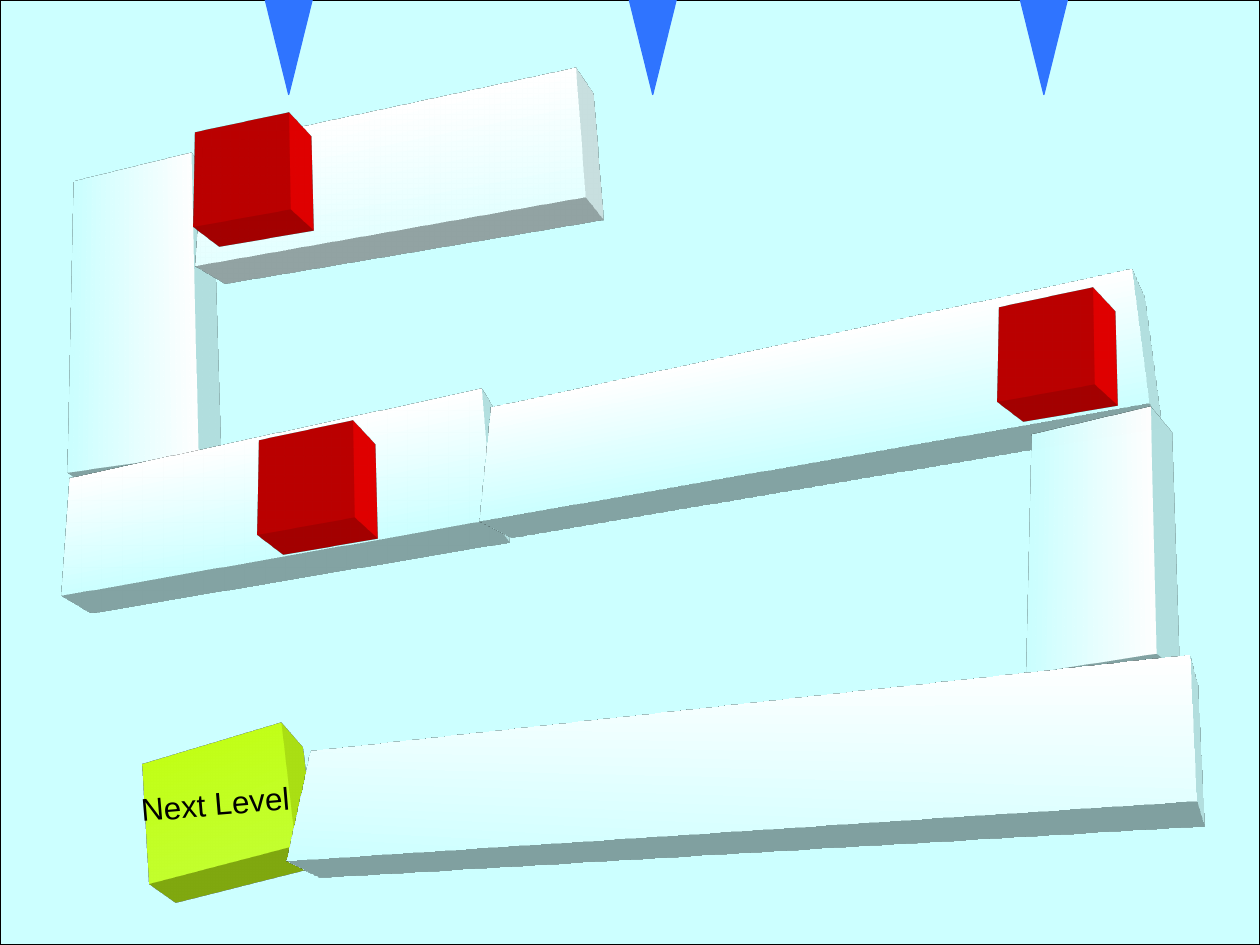
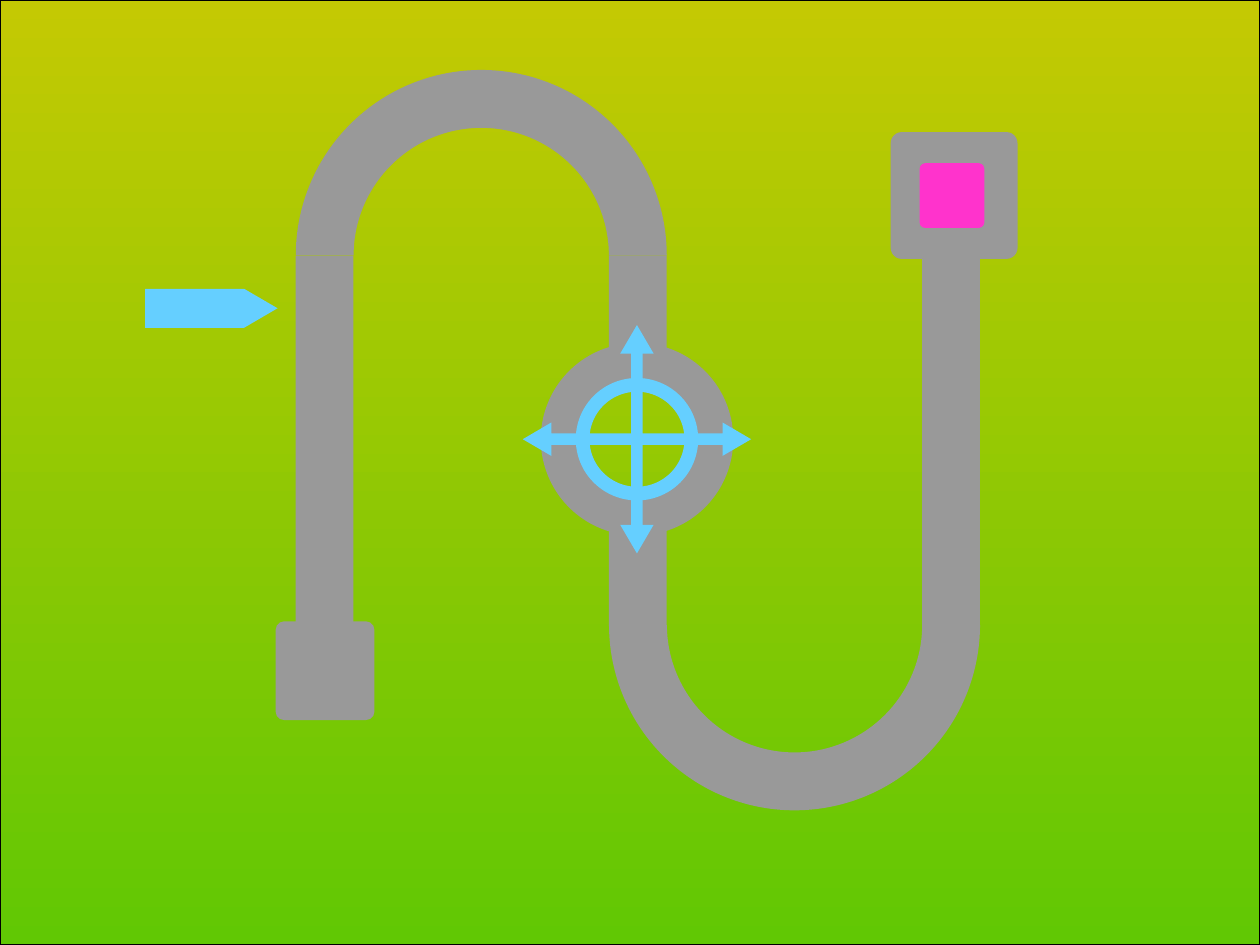
import lxml.etree
import pptx
import pptx.util
import pptx.dml.color
import pptx.oxml
import pptx.enum.shapes
import pptx.enum.text

Pt = pptx.util.Pt
SHAPE = pptx.enum.shapes.MSO_SHAPE

COLORS = {
    "ice": "CCFFFF", "pale": "E5FFFF", "white": "FFFFFF", "black": "000000",
    "red": "FF0000", "lime": "C2FF17", "lime_light": "C3FF2E",
    "spike": "2F74FF", "olive": "C4C903", "grass": "61C804",
    "track": "999999", "sky": "65CFFF", "pink": "FF33CC",
}
NS = 'xmlns:a="http://schemas.openxmlformats.org/drawingml/2006/main"'


def paint(sp, fill, line=None, angle=270):
    """Fill with one colour, or with a pair as a gradient; outline is optional."""
    rgb = pptx.dml.color.RGBColor.from_string
    sp.shadow.inherit = False
    if isinstance(fill, tuple):
        sp.fill.gradient()
        sp.fill.gradient_angle = angle
        for stop, name, position in zip(sp.fill.gradient_stops, fill, (0, 1)):
            stop.color.rgb = rgb(COLORS[name])
            stop.position = position
    else:
        sp.fill.solid()
        sp.fill.fore_color.rgb = rgb(COLORS[fill])
    if line:
        sp.line.color.rgb = rgb(COLORS[line])
        sp.line.width = Pt(0.75)
    else:
        sp.line.fill.background()


def extrude(sp, color):
    """Turn the shape into a block seen in perspective from below right."""
    scene = (f'<a:scene3d {NS}><a:camera prst="legacyPerspectiveFront">'
             '<a:rot lat="20099999" lon="1500000" rev="0"/></a:camera>'
             '<a:lightRig rig="legacyFlat3" dir="b"/></a:scene3d>')
    solid = (f'<a:sp3d {NS} extrusionH="430200" prstMaterial="legacyMatte">'
             f'<a:extrusionClr><a:srgbClr val="{COLORS[color]}"/>'
             '</a:extrusionClr></a:sp3d>')
    for xml in (scene, solid):
        sp._element.spPr.append(pptx.oxml.parse_xml(xml))


prs = pptx.Presentation()
prs.slide_width, prs.slide_height = Pt(720), Pt(540)

# Both slides: full-size backdrop with a thin black outline
slides = []
for backdrop in ("ice", ("olive", "grass")):
    s = prs.slides.add_slide(prs.slide_layouts[6])
    sp = s.shapes.add_shape(SHAPE.RECTANGLE, 0, 0, Pt(720), Pt(540))
    paint(sp, backdrop, "black")
    slides.append(s)
maze, road = slides

# Slide 1: extruded bars, posts and cubes, from back to front
# left, top, width, height, fill, side colour, gradient angle, rotation
BAR = 78
CUBE = 60
blocks = [
    (36, 82.5, BAR, 186, ("ice", "white"), "ice", 0, 0),
    (96.5, 58.5, 239, BAR, ("white", "pale"), "pale", 270, 0),
    (108, 67, CUBE, CUBE, "red", "red", 0, 0),
    (17.5, 245, 264, BAR, ("white", "ice"), "ice", 270, 0),
    (144.5, 243, CUBE, CUBE, "red", "red", 0, 0),
    (240, 193, 408, BAR, ("white", "ice"), "ice", 270, 0),
    (567.5, 167, CUBE, CUBE, "red", "red", 0, 0),
    (584, 230.5, BAR, 152.5, ("ice", "white"), "ice", 0, 0),
    (78, 420, 90, BAR, ("lime", "lime_light"), "lime", 270, 355.2),
    (108, 402.5, 552, BAR, ("white", "ice"), "ice", 270, 6.2),
]
for left, top, width, height, fill, side, angle, rotation in blocks:
    sp = maze.shapes.add_shape(SHAPE.RECTANGLE, Pt(left), Pt(top),
                               Pt(width), Pt(height))
    sp.rotation = rotation
    paint(sp, fill, angle=angle)
    extrude(sp, side)
    if side == "lime":
        tf = sp.text_frame
        tf.word_wrap = False
        tf.vertical_anchor = pptx.enum.text.MSO_ANCHOR.MIDDLE
        tf.text = "Next Level"
        p = tf.paragraphs[0]
        p.alignment = pptx.enum.text.PP_ALIGN.CENTER
        r = p.runs[0]
        r.font.name, r.font.size = "Arial", Pt(18)
        r.font.color.rgb = pptx.dml.color.RGBColor.from_string(COLORS["black"])

# Spikes hanging from the top edge
for tip in (373, 165, 596.5):
    sp = maze.shapes.add_shape(SHAPE.FLOWCHART_MERGE, Pt(tip - 26.75), Pt(-54),
                               Pt(53.5), Pt(108))
    paint(sp, "spike", "spike")

# Slide 2: road, pads, pointer and crosshair
# kind, left, top, width, height, colour, rotation, {adjustment: value}
LANE = 33
ARC = {2: 0.156}
ROUNDED = {0: 0.088}
parts = [
    (SHAPE.RECTANGLE, 169, 146, LANE, 212, "track", 0, {}),
    (SHAPE.BLOCK_ARC, 169, 40, 212, 212, "track", 0, ARC),
    (SHAPE.RECTANGLE, 348, 302, LANE, 56, "track", 0, {}),
    (SHAPE.BLOCK_ARC, 348, 251, 212, 212, "track", 180, ARC),
    (SHAPE.RECTANGLE, 527, 145.5, LANE, 212, "track", 0, {}),
    (SHAPE.ROUNDED_RECTANGLE, 157.5, 355, 56.5, 56.5, "track", 0, ROUNDED),
    (SHAPE.ROUNDED_RECTANGLE, 509, 75.5, 72.5, 72.5, "track", 0, ROUNDED),
    (SHAPE.ROUNDED_RECTANGLE, 525.5, 93.25, 37, 37, "pink", 0, ROUNDED),
    (SHAPE.DONUT, 309, 196, 110, 110, "track", 0, {0: 0.25}),
    (SHAPE.RECTANGLE, 348, 146, LANE, 64, "track", 0, {}),
    (SHAPE.PENTAGON, 83, 165, 75.6, 22.3, "sky", 0, {0: 0.857}),
    (SHAPE.QUAD_ARROW, 298.75, 185.75, 130.5, 130.5, "sky", 0,
     {0: 0.05, 1: 0.073, 2: 0.125}),
    (SHAPE.DONUT, 329, 216, 70, 70, "sky", 0, {0: 0.112}),
]
for kind, left, top, width, height, color, rotation, adjust in parts:
    sp = road.shapes.add_shape(kind, Pt(left), Pt(top), Pt(width), Pt(height))
    sp.rotation = rotation
    for index, value in adjust.items():
        sp.adjustments[index] = value
    paint(sp, color)

prs.save("out.pptx")
